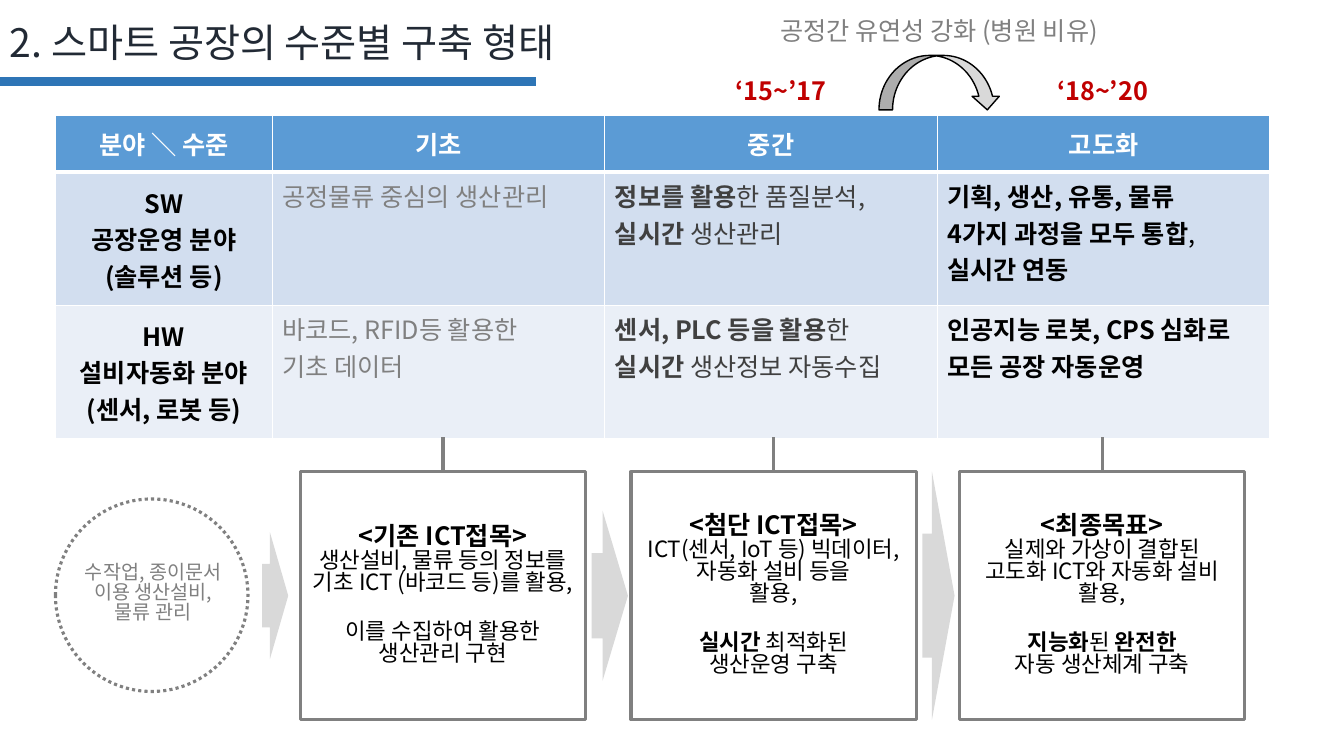
from lxml import etree
from pptx import Presentation
from pptx.dml.color import RGBColor
from pptx.enum.dml import MSO_LINE
from pptx.enum.shapes import MSO_CONNECTOR, MSO_SHAPE
from pptx.enum.text import MSO_ANCHOR, PP_ALIGN
from pptx.oxml.ns import qn
from pptx.util import Inches, Pt

LEFT, CENTER = PP_ALIGN.LEFT, PP_ALIGN.CENTER
TOP, MIDDLE = MSO_ANCHOR.TOP, MSO_ANCHOR.MIDDLE
RECT, OVAL = MSO_SHAPE.RECTANGLE, MSO_SHAPE.OVAL
ARROW, CURVED = MSO_SHAPE.RIGHT_ARROW, MSO_SHAPE.CURVED_DOWN_ARROW
STRAIGHT, DOTTED = MSO_CONNECTOR.STRAIGHT, MSO_LINE.ROUND_DOT

FONT = "Noto Sans CJK KR"
BLACK, WHITE, GRAY, DARK, PALE = "000000", "FFFFFF", "808080", "404040", "D9D9D9"
NAVY, BLUE, RED, HEADER = "222A35", "2E75B6", "C00000", "5B9BD5"
BANDS = ["D2DEEF", "EAEFF7"]


def rgb(colour):
    return RGBColor.from_string(colour)


def grid(n):
    """Grid of 160 columns by 90 rows; a unit is a twelfth of an inch."""
    return Inches(n / 12)


class Board:
    def __init__(self, prs):
        self.s = prs.slides.add_slide(prs.slide_layouts[6])

    def add_lines(self, tf, lines, size, colour, align=CENTER, gap=0, spacing=1.0):
        """Append paragraphs; each | in a line switches bold on or off."""
        for i, line in enumerate(lines):
            p = tf.paragraphs[0] if not tf.text else tf.add_paragraph()
            p.alignment, p.line_spacing = align, spacing
            p.space_before = Pt(0 if i else gap)
            for k, part in enumerate(line.split("|")):
                if not part:
                    continue
                r = p.add_run()
                r.text = part
                r.font.size, r.font.bold = Pt(size), k % 2 == 1
                r.font.name, r.font.color.rgb = FONT, rgb(colour)
                etree.SubElement(r.font._element, qn("a:ea"), typeface=FONT)

    def label(self, x, y, w, h, lines, size, colour, align=LEFT, wrap=True, spacing=1.0):
        tf = self.s.shapes.add_textbox(*map(grid, (x, y, w, h))).text_frame
        tf.word_wrap = wrap
        self.add_lines(tf, lines, size, colour, align, spacing=spacing)

    def shape(self, kind, x, y, w, h, fill, line=None, width=2.25):
        sp = self.s.shapes.add_shape(kind, *map(grid, (x, y, w, h)))
        sp.shadow.inherit = False
        sp.fill.solid()
        sp.fill.fore_color.rgb = rgb(fill)
        if line:
            sp.line.color.rgb, sp.line.width = rgb(line), Pt(width)
        else:
            sp.line.fill.background()
        sp.text_frame.word_wrap = True
        sp.text_frame.vertical_anchor = MIDDLE
        return sp

    def line(self, x1, y1, x2, y2, colour, width):
        c = self.s.shapes.add_connector(STRAIGHT, *map(grid, (x1, y1, x2, y2)))
        c.line.color.rgb, c.line.width = rgb(colour), Pt(width)
        etree.SubElement(c._element.spPr, qn("a:effectLst"))

    def table(self, x, y, cols, rows):
        size = map(grid, (x, y, sum(cols), sum(rows)))
        table = self.s.shapes.add_table(len(rows), len(cols), *size).table
        for column, w in zip(table.columns, cols):
            column.width = grid(w)
        for row, h in zip(table.rows, rows):
            row.height = grid(h)
        return table

    def cell(self, cell, lines, fill, colour, centred, bottom=1):
        cell.fill.solid()
        cell.fill.fore_color.rgb = rgb(fill)
        cell.vertical_anchor = MIDDLE if centred else TOP
        self.add_lines(cell.text_frame, lines, 18, colour, CENTER if centred else LEFT)
        tc_pr = cell._tc.get_or_add_tcPr()
        for i, (side, width) in enumerate(zip("LRTB", (1, 1, 1, bottom))):
            ln = etree.Element(qn("a:ln" + side), w=str(Pt(width)))
            solid = etree.SubElement(ln, qn("a:solidFill"))
            etree.SubElement(solid, qn("a:srgbClr"), val=WHITE)
            tc_pr.insert(i, ln)


HEADINGS = ["분야 ＼ 수준", "기초", "중간", "고도화"]
LEVELS = [
    [["|SW", "|공장운영 분야", "|(솔루션 등)"],
     ["공정물류 중심의 생산관리"],
     ["|정보를 활용|한 품질분석,", "|실시간 |생산관리"],
     ["|기획, 생산, 유통, 물류", "|4가지 과정을 모두 통합|,", "|실시간 연동"]],
    [["|HW", "|설비자동화 분야", "|(센서, 로봇 등)"],
     ["바코드, RFID등 활용한", "기초 데이터"],
     ["|센서, PLC 등을 활용|한", "|실시간| 생산정보 자동수집"],
     ["|인공지능 로봇, CPS 심화로 모든 공장 자동운영"]],
]
# left edge, heading, means, goal
STAGES = [
    (35.76, "|<기존 ICT접목>",
     ["생산설비, 물류 등의 정보를 기초 ICT (바코드 등)를 활용,"],
     ["이를 수집하여 활용한", "생산관리 구현"]),
    (75.12, "|<첨단 ICT접목>",
     ["ICT(센서, IoT 등) 빅데이터, 자동화 설비 등을", "활용,"],
     ["|실시간| 최적화된", "생산운영 구축"]),
    (114.24, "|<최종목표>",
     ["실제와 가상이 결합된", "고도화 ICT와 자동화 설비", "활용,"],
     ["|지능화|된 |완전한", "자동 생산체계 구축"]),
]
STAGE_TOP, STAGE_W, STAGE_H = 56.16, 33.96, 29.52
FLOW_Y = STAGE_TOP + STAGE_H / 2
# left edge, width, height
FLOW_ARROWS = [(31.2, 3.12, 15.12), (70.44, 4.32, 20.28), (109.8, 3.84, 29.52)]


def main():
    prs = Presentation()
    prs.slide_width, prs.slide_height = grid(160), grid(90)
    board = Board(prs)

    board.label(0, 1.56, 120, 6.84, ["2. 스마트 공장의 수준별 구축 형태"], 28, NAVY)
    board.line(0, 9.72, 63.84, 9.72, BLUE, 6)

    table = board.table(6.6, 13.68, [25.8] + [39.6] * 3, [6.84, 15.84, 15.84])
    for c, heading in enumerate(HEADINGS):
        board.cell(table.cell(0, c), ["|" + heading], HEADER, WHITE, True, bottom=3)
    for r, (level, band) in enumerate(zip(LEVELS, BANDS), 1):
        for c, (lines, colour) in enumerate(zip(level, (BLACK, GRAY, DARK, BLACK))):
            board.cell(table.cell(r, c), lines, band, colour, c == 0)

    for x, heading, means, goal in STAGES:
        middle = x + STAGE_W / 2
        board.line(middle, 52.08, middle, 59.04, GRAY, 2.25)
        tf = board.shape(RECT, x, STAGE_TOP, STAGE_W, STAGE_H, WHITE, GRAY).text_frame
        board.add_lines(tf, [heading], 18, BLACK, spacing=0.82)
        board.add_lines(tf, means, 16, BLACK, spacing=0.82)
        board.add_lines(tf, goal, 16, BLACK, gap=19, spacing=0.82)

    for x, year in ((86.4, "|‘15~’17"), (124.68, "|‘18~’20")):
        board.label(x, 8.4, 13.32, 4.8, [year], 18, RED, wrap=False)

    circle = board.shape(OVAL, 6.6, 59.4, 22.92, 22.92, WHITE, GRAY)
    circle.line.dash_style = DOTTED
    board.label(6.6, 66.48, 23.28, 9.72, ["수작업, 종이문서", "이용 생산설비,", "물류 관리"],
                14, GRAY, CENTER, spacing=0.85)

    for x, w, h in FLOW_ARROWS:
        arrow = board.shape(ARROW, x, FLOW_Y - h / 2, w, h, PALE)
        arrow.adjustments[0], arrow.adjustments[1] = 0.5, 0.7

    note = board.shape(RECT, 83.76, 0.24, 56.04, 6.84, WHITE)
    board.add_lines(note.text_frame, ["공정간 유연성 강화 (병원 비유)"], 18, GRAY)
    board.shape(CURVED, 104.64, 6.6, 14.52, 6.48, PALE, BLACK, 1)

    prs.save("out.pptx")


if __name__ == "__main__":
    main()
